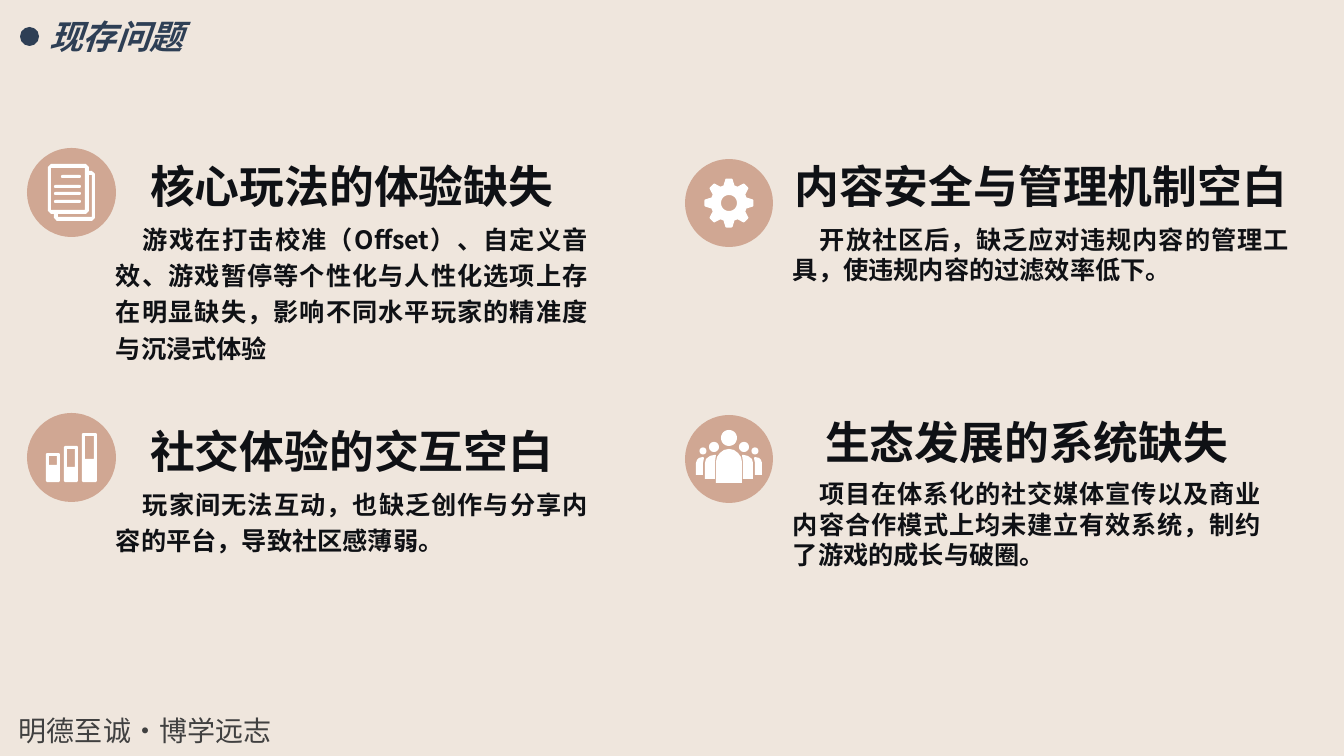
import math

import lxml.etree
import pptx
import pptx.dml.color
import pptx.enum.lang
import pptx.enum.shapes
import pptx.enum.text
import pptx.oxml.ns
import pptx.util

PX = 12192000 / 1344
THEME = {
    "background": "EFE6DD", "navy": "2E3F55", "badge": "D0A793",
    "icon": "FFFFFF", "ink": "0F1115", "footer": "404040",
    "cjk": "Noto Sans CJK SC", "title_font": "Times New Roman",
    "title_size": 24, "heading_size": 32, "body_size": 18, "footer_size": 20,
}
ALIGN = pptx.enum.text.PP_ALIGN
SHAPES = pptx.enum.shapes.MSO_SHAPE


def write_text(frame, text, size, color, font=THEME["cjk"], bold=False, italic=False,
               align=ALIGN.LEFT, line_spacing=1.0, space_before=0, indent=0):
    para = frame.paragraphs[0]
    if para.runs:
        para = frame.add_paragraph()
    para.alignment = align
    para.line_spacing = line_spacing
    para.space_before = pptx.util.Pt(space_before)
    para._p.get_or_add_pPr().set("indent", str(round(indent * PX)))
    span = para.add_run()
    span.text = text
    span.font.size = pptx.util.Pt(size)
    span.font.bold = bold
    span.font.italic = italic
    span.font.name = font
    span.font.language_id = pptx.enum.lang.MSO_LANGUAGE_ID.SIMPLIFIED_CHINESE
    span.font.color.rgb = pptx.dml.color.RGBColor.from_string(color)
    east_asian = lxml.etree.SubElement(span._r.get_or_add_rPr(), pptx.oxml.ns.qn("a:ea"))
    east_asian.set("typeface", THEME["cjk"])


def paint(shape, color):
    shape.shadow.inherit = False
    shape.fill.solid()
    shape.fill.fore_color.rgb = pptx.dml.color.RGBColor.from_string(color)
    shape.line.fill.background()


deck = pptx.Presentation()
deck.slide_width = round(1344 * PX)
deck.slide_height = round(756 * PX)
page = deck.slides.add_slide(deck.slide_layouts[5])
page.background.fill.solid()
page.background.fill.fore_color.rgb = pptx.dml.color.RGBColor.from_string(THEME["background"])

footer = page.shapes.add_textbox(*[round(n * PX) for n in (9, 709, 485, 44)])
footer.text_frame.word_wrap = True
write_text(footer.text_frame, "明德至诚·博学远志", THEME["footer_size"], THEME["footer"])

title = page.shapes.title
title.left, title.top, title.width, title.height = [round(n * PX) for n in (39, 11, 318, 50)]
title.text_frame.word_wrap = True
title.text_frame.auto_size = pptx.enum.text.MSO_AUTO_SIZE.NONE
title.text_frame.vertical_anchor = pptx.enum.text.MSO_ANCHOR.TOP
write_text(title.text_frame, "现存问题", THEME["title_size"], THEME["navy"],
           font=THEME["title_font"], bold=True, italic=True)
bullet = page.shapes.add_shape(SHAPES.OVAL, *[round(n * PX) for n in (20, 27, 19, 19)])
paint(bullet, THEME["navy"])

problems = [
    ((27, 148, 89), (116, 148, 472, 218), 1.2, 4, "核心玩法的体验缺失",
     "游戏在打击校准（Offset）、自定义音效、游戏暂停等个性化与人性化选项上存在明显缺失，影响不同水平玩家的精准度与沉浸式体验"),
    ((27, 413, 89), (116, 413, 472, 144), 1.2, 4, "社交体验的交互空白",
     "玩家间无法互动，也缺乏创作与分享内容的平台，导致社区感薄弱。"),
    ((685, 159, 88), (793, 159, 496, 127), 1.0, 8, "内容安全与管理机制空白",
     "开放社区后，缺乏应对违规内容的管理工具，使违规内容的过滤效率低下。"),
    ((685, 415, 88), (793, 415, 468, 156), 1.0, 7, "生态发展的系统缺失",
     "项目在体系化的社交媒体宣传以及商业内容合作模式上均未建立有效系统，制约了游戏的成长与破圈。"),
]
for (left, top, size), area, spacing, gap, heading, body in problems:
    badge = page.shapes.add_shape(SHAPES.OVAL, *[round(n * PX) for n in (left, top, size, size)])
    paint(badge, THEME["badge"])
    box = page.shapes.add_textbox(*[round(n * PX) for n in area])
    frame = box.text_frame
    frame.word_wrap = True
    frame.margin_left = frame.margin_right = frame.margin_top = frame.margin_bottom = 0
    write_text(frame, heading, THEME["heading_size"], THEME["ink"], bold=True,
               align=ALIGN.CENTER, line_spacing=spacing)
    write_text(frame, body, THEME["body_size"], THEME["ink"], bold=True,
               align=ALIGN.JUSTIFY, line_spacing=spacing, space_before=gap, indent=27)

circle = [(math.cos(step * math.pi / 16), math.sin(step * math.pi / 16)) for step in range(32)]

document = [
    [(51, 164), (86, 164), (89, 167), (89, 171), (92, 171), (95, 174), (95, 218), (92, 221),
     (57, 221), (54, 218), (54, 214), (51, 214), (48, 211), (48, 167)],
    [(51, 168), (85, 168), (85, 210), (51, 210)],
    [(89, 175), (92, 175), (92, 217), (58, 217), (58, 214), (86, 214), (89, 211)],
]

bars = []
for left, top, right, window_bottom in ((46, 453, 60, 465), (64, 446, 78, 467), (82, 433, 97, 459)):
    bars.append([(left + 1, top), (right - 1, top), (right, top + 1), (right, 481),
                 (right - 1, 482), (left + 1, 482), (left, 481), (left, top + 1)])
    bars.append([(left + 3, top + 3), (right - 3, top + 3),
                 (right - 3, window_bottom), (left + 3, window_bottom)])

teeth = []
for tooth in range(8):
    turn = tooth * math.pi / 4
    for x, y in ((-5.5, -17.5), (-3.5, -24), (-2.5, -24.5), (2.5, -24.5), (3.5, -24), (5.5, -17.5)):
        teeth.append((729 + x * math.cos(turn) - y * math.sin(turn),
                      203 + x * math.sin(turn) + y * math.cos(turn)))
gear = [teeth, [(729 + 8 * x, 203 + 8 * y) for x, y in circle]]

torso = [(0, 449), (5, 450), (9, 453), (12, 457), (13, 462), (13, 483)]
people = [[(729 + x, y) for x, y in torso] + [(729 - x, y) for x, y in reversed(torso)]]
neighbours = [
    [(14, 479), (14, 462), (13, 455), (15, 455), (19, 456), (23, 459), (24, 463), (24, 479)],
    [(26, 475), (26, 463), (25, 458), (26, 457), (30, 458), (32, 460), (33, 463), (33, 475)],
]
for side in (-1, 1):
    for outline in neighbours:
        people.append([(729 + side * x, y) for x, y in outline])
for offset, middle, radius in ((0, 438, 8), (-15, 447, 5), (15, 447, 5), (-26, 451, 3.5), (26, 451, 3.5)):
    people.append([(729 + offset + radius * x, middle + radius * y) for x, y in circle])

for icon in (document, bars, gear, people):
    contours = [[(round(x * 10), round(y * 10)) for x, y in outline] for outline in icon]
    builder = page.shapes.build_freeform(*contours[0][0], scale=PX / 10)
    for outline in contours:
        builder.move_to(*outline[0])
        builder.add_line_segments(outline[1:], close=True)
    paint(builder.convert_to_shape(), THEME["icon"])

for left, top, width in ((61, 175, 20), (54, 185, 27), (54, 192, 27), (54, 200, 27)):
    text_line = page.shapes.add_shape(SHAPES.ROUNDED_RECTANGLE,
                                      *[round(n * PX) for n in (left, top, width, 3)])
    text_line.adjustments[0] = 0.5
    paint(text_line, THEME["icon"])

deck.save("out.pptx")
